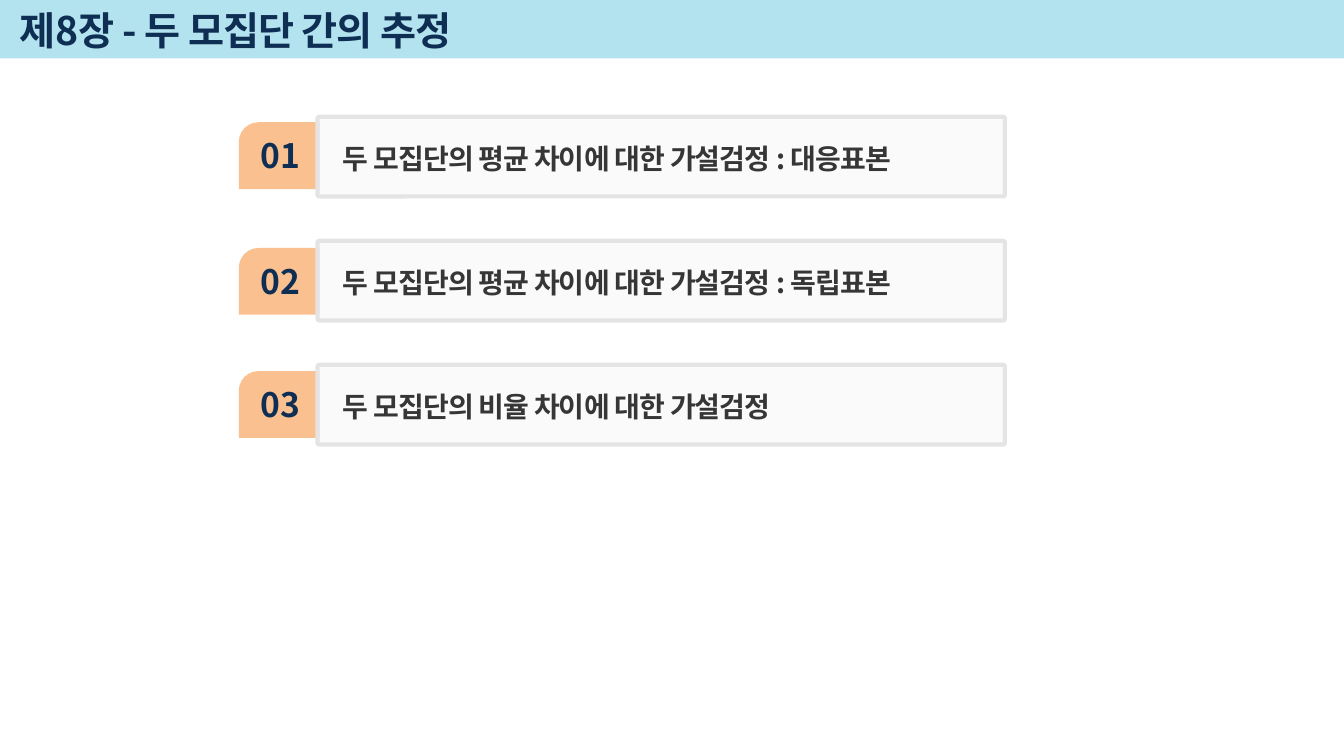
"""Build the chapter 8 contents slide."""
from lxml import etree
from pptx import Presentation
from pptx.dml.color import RGBColor
from pptx.enum import shapes, text
from pptx.oxml.ns import qn
from pptx.util import Pt

CHAPTER = "제8장 - 두 모집단 간의 추정"
SECTIONS = [
    ("01", "두 모집단의 평균 차이에 대한 가설검정 : 대응표본", 87.3),
    ("02", "두 모집단의 평균 차이에 대한 가설검정 : 독립표본", 177.1),
    ("03", "두 모집단의 비율 차이에 대한 가설검정", 265),
]
COLORS = {"band": "B3E3EE", "tab": "FAC090", "panel": "F2F2F2",
          "border": "E4E4E4", "navy": "0F2E53", "ink": "363636"}
FONT = "Noto Sans CJK KR"
PANEL_TOP, PANEL_PITCH = 83.4, 88.6


def color(name):
    return RGBColor.from_string(COLORS[name])


def add_block(slide, kind, left, top, width, height, fill):
    block = slide.shapes.add_shape(kind, Pt(left), Pt(top), Pt(width), Pt(height))
    block.shadow.inherit = False
    block.fill.solid()
    block.fill.fore_color.rgb = color(fill)
    block.line.fill.background()
    return block


def write(frame, words, size, ink, spacing=0):
    frame.text = words
    run = frame.paragraphs[0].runs[0]
    run.font.size, run.font.bold, run.font.name = Pt(size), True, FONT
    run.font.color.rgb = color(ink)
    props = run.font._element
    etree.SubElement(props, qn("a:ea")).set("typeface", FONT)
    if spacing:
        props.set("spc", str(spacing))
    return frame.paragraphs[0]


def add_label(slide, left, top, width, height, wrap, words, size, ink, spacing=0):
    label = slide.shapes.add_textbox(Pt(left), Pt(top), Pt(width), Pt(height))
    label.text_frame.word_wrap = wrap
    return write(label.text_frame, words, size, ink, spacing)


def add_section(slide, index, number, topic, tab_top):
    tab = add_block(slide, shapes.MSO_SHAPE.SNIP_ROUND_RECTANGLE,
                    170.6, tab_top, 57.6, 47.7, "tab")
    tab.adjustments[0], tab.adjustments[1] = 0.296, 0
    add_label(slide, 179.3, tab_top + 5.5, 42.5, 36, False,
              number, 24, "navy").alignment = text.PP_ALIGN.CENTER

    panel_top = PANEL_TOP + index * PANEL_PITCH
    panel = add_block(slide, shapes.MSO_SHAPE.ROUNDED_RECTANGLE,
                      226.8, panel_top, 491, 56.9, "panel")
    panel.adjustments[0] = 0.023
    panel.line.color.rgb = color("border")
    panel.line.width = Pt(3)
    tint = panel._element.spPr.find(qn("a:solidFill"))[0]
    etree.SubElement(tint, qn("a:alpha")).set("val", "33000")

    heading = add_label(slide, 237.6, panel_top + 11.7, 458, 31.7, True,
                        topic, 20, "ink", -60)
    heading.line_spacing = 1.1
    heading.space_after = Pt(3)


def main():
    deck = Presentation()
    deck.slide_width, deck.slide_height = Pt(960), Pt(540)
    slide = deck.slides.add_slide(deck.slide_layouts[5])

    band = add_block(slide, shapes.MSO_SHAPE.RECTANGLE, 0, -1.8, 960, 43.6, "band")
    slide.shapes._spTree.insert(2, band._element)

    title = slide.shapes.title
    title.left, title.top, title.width, title.height = Pt(6.5), Pt(2.9), Pt(817), Pt(37.4)
    title.text_frame.vertical_anchor = text.MSO_ANCHOR.MIDDLE
    write(title.text_frame, CHAPTER, 28, "navy", -60).alignment = text.PP_ALIGN.LEFT

    for index, section in enumerate(SECTIONS):
        add_section(slide, index, *section)
    deck.save("out.pptx")


if __name__ == "__main__":
    main()
